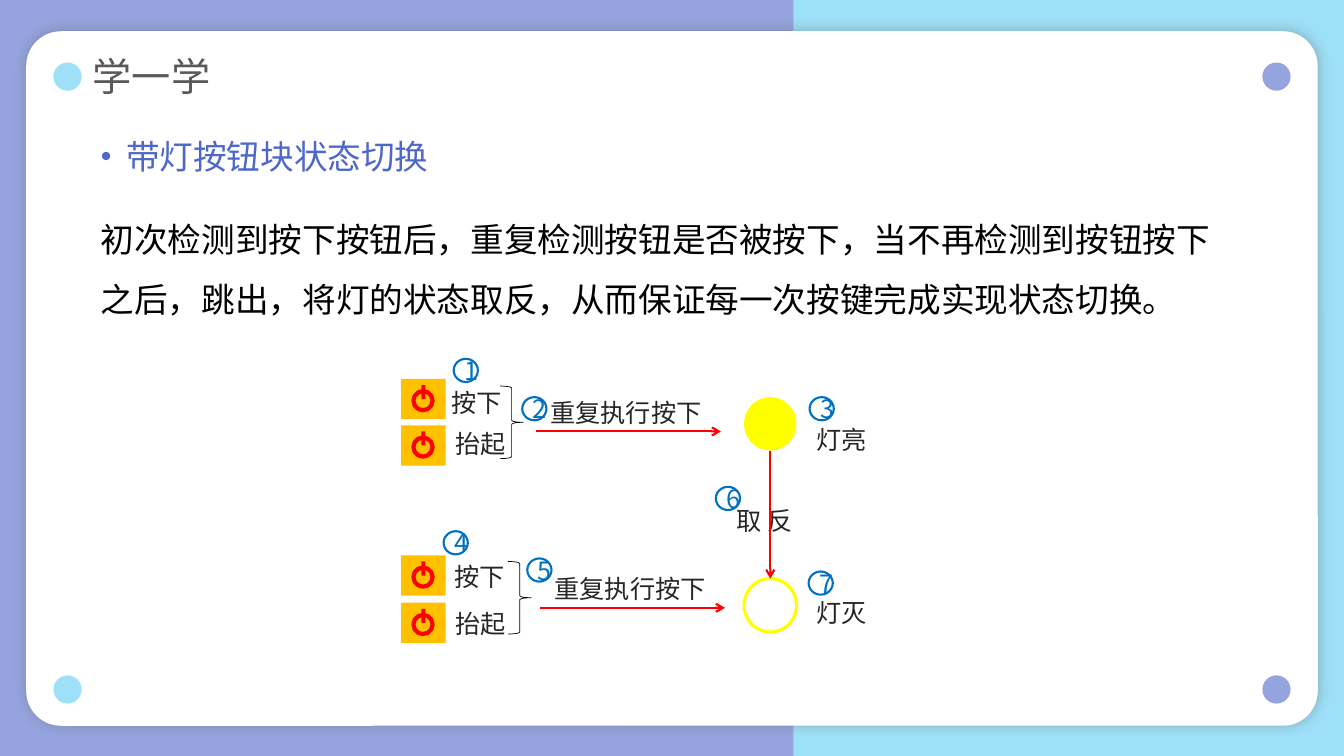
from dataclasses import dataclass

from lxml import etree
from pptx import Presentation
from pptx import util as u
from pptx.dml.color import RGBColor
from pptx.enum import shapes, text
from pptx.oxml import ns

PX = 9144
Kind = shapes.MSO_SHAPE


@dataclass(frozen=True)
class Theme:
    font: str = "Noto Sans CJK SC"
    sky: str = "9EE0F8"
    lilac: str = "95A4DE"
    white: str = "FFFFFF"
    shadow: str = "595959"
    title: str = "595959"
    topic: str = "4E67C8"
    body: str = "000000"
    label: str = "262626"
    step: str = "0070C0"
    plate: str = "FFC000"
    signal: str = "FF0000"
    lamp: str = "FFFF00"
    title_size: int = 28
    body_size: int = 24
    label_size: int = 18


@dataclass(frozen=True)
class Box:
    left: int
    top: int
    width: int
    height: int

    def emu(self) -> list[int]:
        return [v * PX for v in (self.left, self.top, self.width, self.height)]


@dataclass(frozen=True)
class Label:
    words: str
    left: int
    top: int
    width: int = 85


@dataclass(frozen=True)
class Arrow:
    x1: int
    y1: int
    x2: int
    y2: int


THEME = Theme()
BUTTON_LEFT = 398
BUTTON_TOPS = (376, 422, 551, 598)
STEPS = ((450, 356), (518, 394), (803, 394), (440, 527), (523, 554), (710, 483), (802, 567))
LABELS = (
    Label("按下", 438, 370),
    Label("抬起", 442, 411),
    Label("重复执行按下", 536, 380, 185),
    Label("灯亮", 800, 407),
    Label("取 反", 721, 487),
    Label("按下", 441, 543),
    Label("抬起", 442, 590),
    Label("重复执行按下", 540, 555, 185),
    Label("灯灭", 800, 579),
)
ARROWS = (Arrow(764, 447, 764, 574), Arrow(532, 428, 715, 428), Arrow(536, 603, 719, 603))
BRACES = (Box(496, 383, 23, 72), Box(504, 557, 23, 72))


def rgb(color: str) -> RGBColor:
    return RGBColor.from_string(color)


def add_figure(slide, kind, box: Box, fill: str = "", line: str = "", weight: float = 0):
    figure = slide.shapes.add_shape(kind, *box.emu())
    figure.shadow.inherit = False
    if fill:
        figure.fill.solid()
        figure.fill.fore_color.rgb = rgb(fill)
    else:
        figure.fill.background()
    if line:
        figure.line.color.rgb = rgb(line)
        figure.line.width = u.Pt(weight)
    else:
        figure.line.fill.background()
    return figure


def write(frame, words: str, size: int, color: str, spacing: float = 1.0):
    frame.text = words
    frame.word_wrap = True
    paragraph = frame.paragraphs[0]
    paragraph.line_spacing = spacing
    paragraph.space_before = u.Pt(0)
    for run in paragraph.runs:
        run.font.size = u.Pt(size)
        run.font.name = THEME.font
        run.font.color.rgb = rgb(color)
        latin = run.font._element.find(ns.qn("a:latin"))
        east_asian = etree.Element(ns.qn("a:ea"), typeface=THEME.font)
        latin.addnext(east_asian)
    return paragraph


def set_margins(frame, side: int, end: int) -> None:
    frame.margin_left = frame.margin_right = side * PX
    frame.margin_top = frame.margin_bottom = end * PX


def fill_placeholder(holder, box: Box, words: str, size: int, color: str, spacing: float):
    holder.left, holder.top, holder.width, holder.height = box.emu()
    frame = holder.text_frame
    paragraph = write(frame, words, size, color, spacing)
    paragraph.alignment = text.PP_ALIGN.LEFT
    frame.vertical_anchor = text.MSO_ANCHOR.MIDDLE
    frame.auto_size = text.MSO_AUTO_SIZE.SHAPE_TO_FIT_TEXT
    set_margins(frame, 0, 5)
    return paragraph


def add_text(slide, box: Box, words: str, size: int, color: str, spacing: float):
    frame = slide.shapes.add_textbox(*box.emu()).text_frame
    write(frame, words, size, color, spacing)
    return frame


def add_arrow(slide, arrow: Arrow) -> None:
    ends = [v * PX for v in (arrow.x1, arrow.y1, arrow.x2, arrow.y2)]
    connector = slide.shapes.add_connector(shapes.MSO_CONNECTOR.STRAIGHT, *ends)
    connector.line.color.rgb = rgb(THEME.signal)
    connector.line.width = u.Pt(1.5)
    etree.SubElement(connector.line._get_or_add_ln(), ns.qn("a:tailEnd"), type="arrow")
    etree.SubElement(connector.element.spPr, ns.qn("a:effectLst"))


def add_backdrop(slide) -> None:
    slide.background.fill.solid()
    slide.background.fill.fore_color.rgb = rgb(THEME.sky)
    half = add_figure(slide, Kind.RECTANGLE, Box(0, 0, 787, 750), THEME.lilac)
    card = add_figure(slide, Kind.ROUNDED_RECTANGLE, Box(26, 31, 1281, 689), THEME.white)
    card.adjustments[0] = 0.05
    effects = card.element.spPr.find(ns.qn("a:effectLst"))
    glow = etree.SubElement(effects, ns.qn("a:outerShdw"), blurRad=str(u.Pt(9)),
                            dist=str(u.Pt(1)), dir="0", algn="ctr", rotWithShape="0")
    tint = etree.SubElement(glow, ns.qn("a:srgbClr"), val=THEME.shadow)
    etree.SubElement(tint, ns.qn("a:alpha"), val="36000")
    dots = [add_figure(slide, Kind.OVAL, Box(left, top, 28, 28), color)
            for left, color in ((53, THEME.sky), (1252, THEME.lilac))
            for top in (62, 670)]
    for part in (half, card, *dots):
        slide.shapes.title.element.addprevious(part.element)


def add_power_button(slide, top: int) -> None:
    left = BUTTON_LEFT
    add_figure(slide, Kind.RECTANGLE, Box(left, top, 44, 40), THEME.plate)
    add_figure(slide, Kind.OVAL, Box(left + 12, top + 12, 19, 19), line=THEME.signal, weight=3)
    add_figure(slide, Kind.RECTANGLE, Box(left + 20, top + 6, 4, 14), THEME.signal)


def add_diagram(slide) -> None:
    for top in BUTTON_TOPS:
        add_power_button(slide, top)
    add_figure(slide, Kind.OVAL, Box(738, 394, 52, 53), THEME.lamp)
    add_figure(slide, Kind.OVAL, Box(738, 574, 52, 53), line=THEME.lamp, weight=2.25)
    for label in LABELS:
        add_text(slide, Box(label.left, label.top, label.width, 48), label.words,
                 THEME.label_size, THEME.label, 1.3)
    for arrow in ARROWS:
        add_arrow(slide, arrow)
    for number, (left, top) in enumerate(STEPS, 1):
        step = add_figure(slide, Kind.OVAL, Box(left, top, 24, 23), line=THEME.step, weight=1.5)
        paragraph = write(step.text_frame, str(number), THEME.label_size, THEME.step)
        paragraph.alignment = text.PP_ALIGN.CENTER
    for brace in BRACES:
        add_figure(slide, Kind.RIGHT_BRACE, brace, line=THEME.body, weight=0.5)


def main() -> None:
    deck = Presentation()
    deck.slide_width, deck.slide_height = 1333 * PX, 750 * PX
    slide = deck.slides.add_slide(deck.slide_layouts[1])
    add_backdrop(slide)
    fill_placeholder(slide.shapes.title, Box(92, 52, 559, 53), "学一学",
                     THEME.title_size, THEME.title, 0.9)
    topic = fill_placeholder(slide.placeholders[1], Box(100, 130, 559, 50),
                             "带灯按钮块状态切换", THEME.body_size, THEME.topic, 1.0)
    props = topic._p.get_or_add_pPr()
    props.set("marL", str(25 * PX))
    props.set("indent", str(-32 * PX))
    etree.SubElement(props, ns.qn("a:buSzPct"), val="90000")
    etree.SubElement(props, ns.qn("a:buChar"), char="•")
    summary = add_text(
        slide, Box(100, 197, 1116, 121),
        "初次检测到按下按钮后，重复检测按钮是否被按下，当不再检测到按钮按下之后，"
        "跳出，将灯的状态取反，从而保证每一次按键完成实现状态切换。",
        THEME.body_size, THEME.body, 1.5)
    set_margins(summary, 0, 0)
    add_diagram(slide)
    deck.save("out.pptx")


if __name__ == "__main__":
    main()
